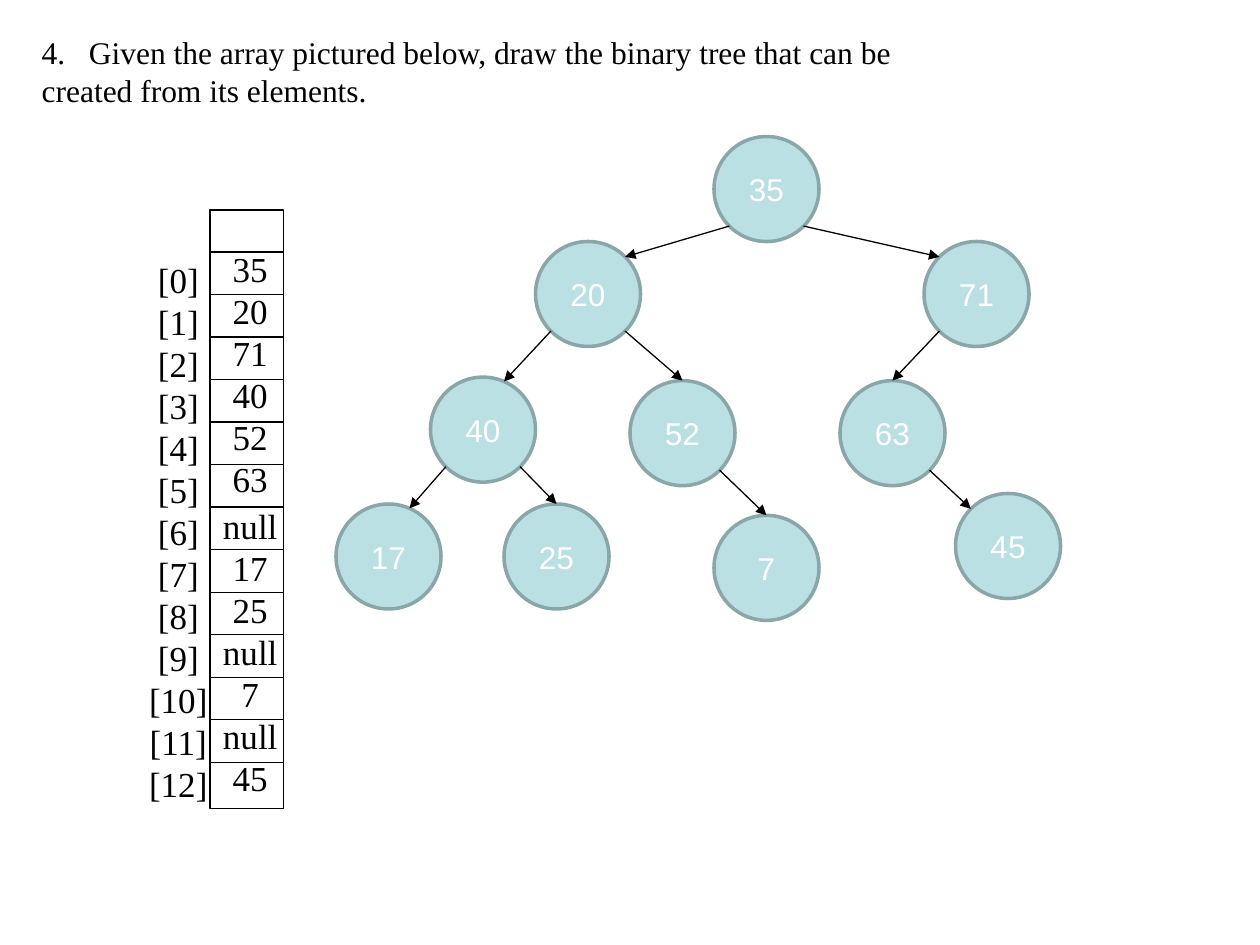
from lxml import etree
from pptx import Presentation
from pptx.dml.color import RGBColor
from pptx.enum.shapes import MSO_CONNECTOR, MSO_SHAPE
from pptx.enum.text import MSO_ANCHOR, MSO_AUTO_SIZE, PP_ALIGN
from pptx.oxml.ns import qn
from pptx.util import Pt

STRAIGHT = MSO_CONNECTOR.STRAIGHT
OVAL, RECT = MSO_SHAPE.OVAL, MSO_SHAPE.RECTANGLE
TOP, MIDDLE = MSO_ANCHOR.TOP, MSO_ANCHOR.MIDDLE
LEFT, CENTER = PP_ALIGN.LEFT, PP_ALIGN.CENTER
NO_FIT = MSO_AUTO_SIZE.NONE

COLORS = {"ink": "000000", "node": "BBE0E3", "rim": "8AA6A8", "label": "FFFFFF"}
SERIF, SANS = "Times New Roman", "Arial"

QUESTION = ["Given the array pictured below, draw the binary tree that can be",
            "created from its elements."]
VALUES = ["35", "20", "71", "40", "52", "63", "null", "17", "25", "null", "7", "null", "45"]
GRID_LEFT, GRID_TOP, GRID_WIDTH, GRID_HEIGHT = 120, 120, 42, 342
FIRST_ROW, ROW_HEIGHT = 144, 24.3

DIAMETER = 60
NODES = {"35": (408, 78), "20": (306, 138), "71": (528, 138), "63": (480, 217.5),
         "25": (288, 288), "45": (546, 282), "7": (408, 294.5), "52": (360, 217.5),
         "17": (192, 288), "40": (246, 215.5)}
SITES = {"top": (0, -30), "upper": (12, -27.5), "top left": (-21.2, -21.2),
         "top right": (21.2, -21.2), "bottom left": (-21.2, 21.2),
         "bottom right": (21.2, 21.2)}
EDGES = [("35", "bottom left", "20", "top right"), ("20", "bottom left", "40", "upper"),
         ("20", "bottom right", "52", "top"), ("35", "bottom right", "71", "top left"),
         ("71", "bottom left", "63", "top"), ("40", "bottom left", "17", "upper"),
         ("40", "bottom right", "25", "top"), ("52", "bottom right", "7", "top"),
         ("63", "bottom right", "45", "top left")]


def rgb(name):
    return RGBColor.from_string(COLORS[name])


def apply(obj, formats):
    for name, value in formats.items():
        setattr(obj, name, value)


def write(tf, lines, size, font, color, align, spacing=None):
    for i, line in enumerate(lines):
        p = tf.paragraphs[0] if i == 0 else tf.add_paragraph()
        apply(p, {"alignment": align, "line_spacing": spacing})
        r = p.add_run()
        r.text = line
        apply(r.font, {"size": Pt(size), "name": font})
        r.font.color.rgb = rgb(color)


def add_question(s):
    sp = s.shapes.title
    apply(sp, {"left": Pt(16.6), "top": Pt(15.1), "width": Pt(505.4), "height": Pt(51.1)})
    tf = sp.text_frame
    apply(tf, {"word_wrap": False, "auto_size": NO_FIT, "vertical_anchor": TOP})
    write(tf, QUESTION, 18, SERIF, "ink", LEFT, Pt(21.6))
    pPr = tf.paragraphs[0]._p.get_or_add_pPr()
    pPr.set("marL", str(Pt(27)))
    pPr.set("indent", str(Pt(-27)))
    etree.SubElement(pPr, qn("a:buAutoNum"), type="arabicPeriod", startAt="4")


def add_column(s, left, top, width, lines):
    sp = s.shapes.add_textbox(Pt(left), Pt(top), Pt(width), Pt(322))
    tf = sp.text_frame
    apply(tf, {"word_wrap": False, "auto_size": NO_FIT})
    write(tf, lines, 20, SERIF, "ink", CENTER, Pt(24))
    return tf


def add_line(s, x1, y1, x2, y2, arrow=False):
    line = s.shapes.add_connector(STRAIGHT, Pt(x1), Pt(y1), Pt(x2), Pt(y2))
    line.line.color.rgb = rgb("ink")
    line.line.width = Pt(0.75)
    if arrow:
        ln = line.line._get_or_add_ln()
        etree.SubElement(ln, qn("a:tailEnd"), type="triangle")
    etree.SubElement(line._element.spPr, qn("a:effectLst"))
    return line


def add_array(s):
    sp = s.shapes.add_shape(RECT, Pt(GRID_LEFT), Pt(GRID_TOP), Pt(GRID_WIDTH), Pt(GRID_HEIGHT))
    sp.shadow.inherit = False
    sp.fill.background()
    sp.line.color.rgb = rgb("ink")
    sp.line.width = Pt(0.75)
    for i in range(len(VALUES)):
        y = FIRST_ROW + i * ROW_HEIGHT
        add_line(s, GRID_LEFT, y, GRID_LEFT + GRID_WIDTH, y)
    add_column(s, 77.8, 144, 48.2, [f"[{i}]" for i in range(len(VALUES))])
    tf = add_column(s, 120, 137.8, 46, VALUES)
    tf.paragraphs[VALUES.index("null")].space_before = Pt(3)


def add_node(s, label, left, top):
    sp = s.shapes.add_shape(OVAL, Pt(left), Pt(top), Pt(DIAMETER), Pt(DIAMETER))
    sp.shadow.inherit = False
    sp.fill.solid()
    sp.fill.fore_color.rgb = rgb("node")
    sp.line.color.rgb = rgb("rim")
    sp.line.width = Pt(2)
    sp.text_frame.vertical_anchor = MIDDLE
    write(sp.text_frame, [label], 18, SANS, "label", CENTER)
    return sp


def site_point(label, site):
    (left, top), (dx, dy) = NODES[label], SITES[site]
    return left + DIAMETER / 2 + dx, top + DIAMETER / 2 + dy


def add_tree(s):
    nodes = {label: add_node(s, label, *at) for label, at in NODES.items()}
    for parent, start, child, end in EDGES:
        line = add_line(s, *site_point(parent, start), *site_point(child, end), arrow=True)
        if end == "top":
            line.end_connect(nodes[child], 0)


def main():
    prs = Presentation()
    apply(prs, {"slide_width": Pt(720), "slide_height": Pt(540)})
    s = prs.slides.add_slide(prs.slide_layouts[5])
    add_question(s)
    add_array(s)
    add_tree(s)
    prs.save("out.pptx")


if __name__ == "__main__":
    main()
